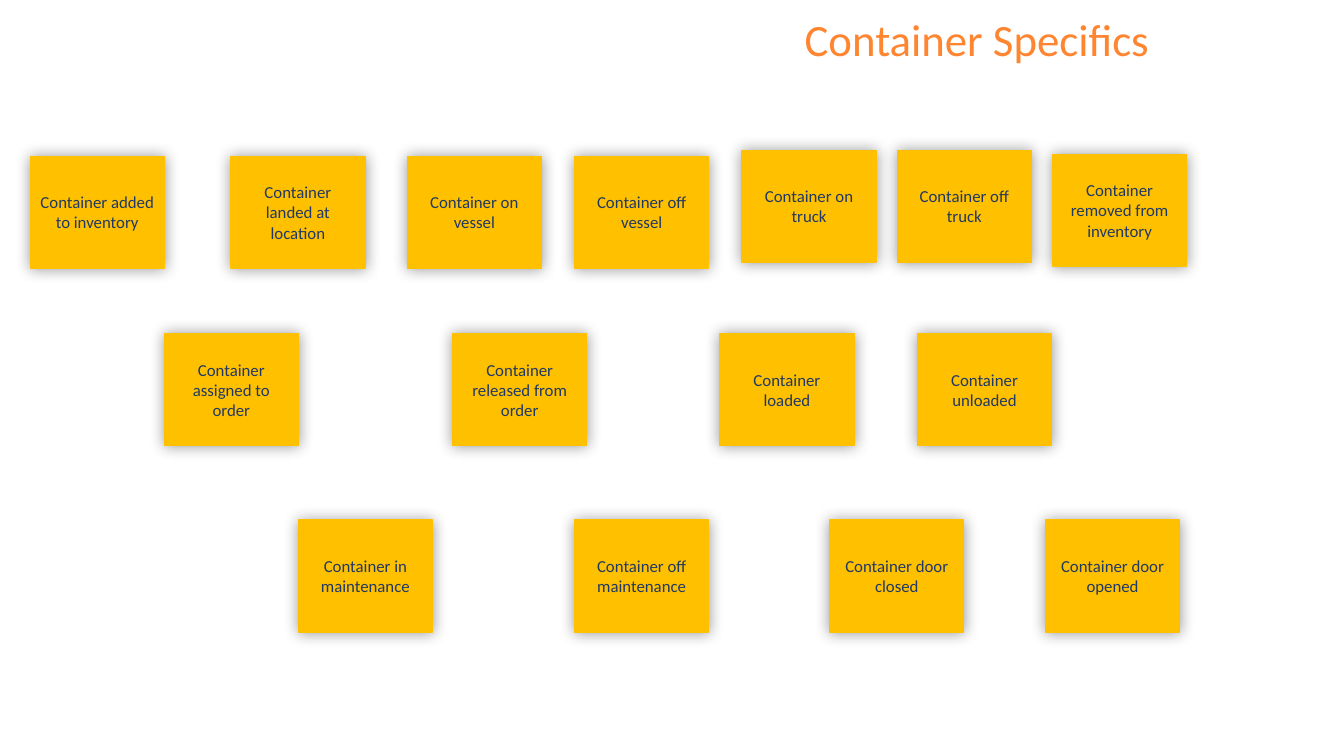
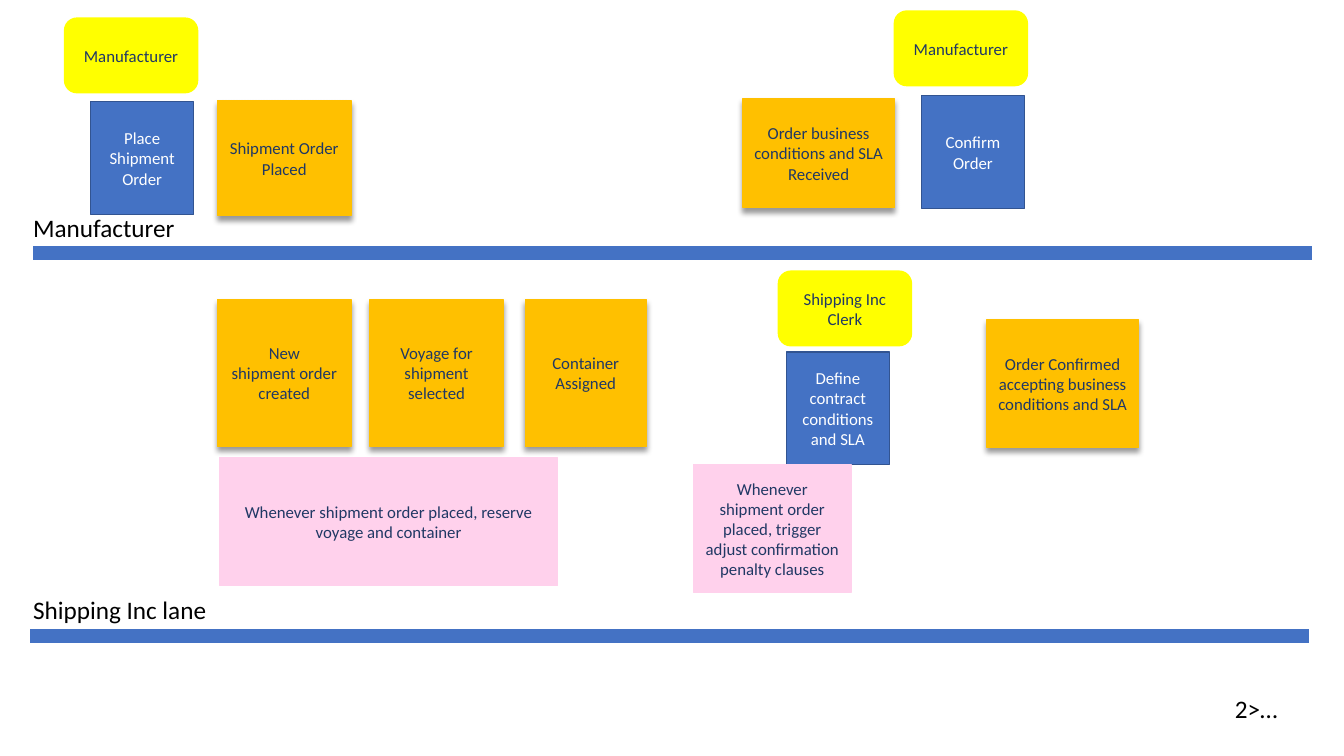
from dataclasses import dataclass
from typing import Optional

from lxml import etree
from pptx import Presentation
from pptx.dml.color import RGBColor
from pptx.enum.shapes import MSO_CONNECTOR, MSO_SHAPE
from pptx.enum.text import MSO_ANCHOR, MSO_AUTO_SIZE, PP_ALIGN
from pptx.oxml.ns import qn
from pptx.util import Inches, Pt

RECT, ROUND = MSO_SHAPE.RECTANGLE, MSO_SHAPE.ROUNDED_RECTANGLE
LEFT, CENTER = PP_ALIGN.LEFT, PP_ALIGN.CENTER
TOP, MIDDLE = MSO_ANCHOR.TOP, MSO_ANCHOR.MIDDLE
GROW = MSO_AUTO_SIZE.SHAPE_TO_FIT_TEXT
STRAIGHT = MSO_CONNECTOR.STRAIGHT
TITLE_ONLY, BLANK = 5, 6


# Theme: colours and type sizes
@dataclass(frozen=True)
class Theme:
    font: str = "Calibri"
    title: str = "FF8531"
    amber: str = "FFC000"
    yellow: str = "FFFF00"
    pink: str = "FFD1EC"
    blue: str = "4472C4"
    edge: str = "325491"
    navy: str = "203864"
    white: str = "FFFFFF"
    black: str = "000000"
    title_size: int = 32
    lane_size: int = 18
    note_size: int = 12


THEME = Theme()


@dataclass(frozen=True)
class Shadow:
    blur: float
    dist: float
    angle: int
    alpha: int = 40


@dataclass(frozen=True)
class Style:
    fill: str
    edge: str
    ink: str = THEME.navy
    form: int = RECT
    shadow: Optional[Shadow] = None


@dataclass(frozen=True)
class Note:
    style: Style
    text: str
    x: float
    y: float
    w: float
    h: float


@dataclass(frozen=True)
class Lane:
    text: str
    left: float
    y: float
    top: float


# Kinds of sticky note
GLOW = Style(THEME.amber, THEME.amber, shadow=Shadow(11, 0, 10))
EVENT = Style(THEME.amber, THEME.amber, shadow=Shadow(4, 3, 90))
ACTOR = Style(THEME.yellow, THEME.yellow, form=ROUND)
ORDER = Style(THEME.blue, THEME.edge, ink=THEME.white)
RULE = Style(THEME.pink, THEME.pink)


# Drawing helpers
def write(frame, text: str, *, size: int, color: str, align=LEFT,
          anchor=TOP, wrap: bool = True) -> None:
    """Fill a text frame, one paragraph for each line of text."""
    frame.word_wrap = wrap
    frame.vertical_anchor = anchor
    if not wrap:
        frame.auto_size = GROW
    frame.text = text
    for para in frame.paragraphs:
        para.alignment = align
        font = para.runs[0].font
        font.name, font.size = THEME.font, Pt(size)
        font.color.rgb = RGBColor.from_string(color)


def cast(shape, shadow: Shadow) -> None:
    effects = shape._element.spPr.find(qn("a:effectLst"))
    outer = etree.SubElement(
        effects, qn("a:outerShdw"), blurRad=str(Pt(shadow.blur)),
        dist=str(Pt(shadow.dist)), dir=str(shadow.angle * 60000),
        algn="ctr", rotWithShape="0")
    color = etree.SubElement(outer, qn("a:srgbClr"), val=THEME.black)
    etree.SubElement(color, qn("a:alpha"), val=str(shadow.alpha * 1000))


def draw_note(slide, note: Note) -> None:
    style = note.style
    shape = slide.shapes.add_shape(
        style.form, Inches(note.x), Inches(note.y),
        Inches(note.w), Inches(note.h))
    shape.fill.solid()
    shape.fill.fore_color.rgb = RGBColor.from_string(style.fill)
    shape.line.color.rgb = RGBColor.from_string(style.edge)
    shape.line.width = Pt(1)
    shape.shadow.inherit = False
    if style.shadow:
        cast(shape, style.shadow)
    write(shape.text_frame, note.text, size=THEME.note_size,
          color=style.ink, align=CENTER, anchor=MIDDLE)


def draw_label(slide, text: str, x: float, y: float, w: float) -> None:
    box = slide.shapes.add_textbox(
        Inches(x), Inches(y), Inches(w), Inches(0.4))
    write(box.text_frame, text, size=THEME.lane_size,
          color=THEME.black, wrap=False)


def draw_lane(slide, lane: Lane, width: float) -> None:
    bar = slide.shapes.add_connector(
        STRAIGHT, Inches(lane.left), Inches(lane.y),
        Inches(lane.left + 12.68), Inches(lane.y))
    bar.line.color.rgb = RGBColor.from_string(THEME.blue)
    bar.line.width = Pt(10)
    etree.SubElement(bar._element.spPr, qn("a:effectLst"))
    draw_label(slide, lane.text, 0.23, lane.top, width)


# Slide 1: events in the life of a container, as (text, left, top)
CARD_W, CARD_H = 1.33, 1.11
ROW_1, ROW_2, ROW_3, TRUCK = 1.55, 3.31, 5.16, 1.49
CARDS = [
    ("Container added to inventory", 0.3, ROW_1),
    ("Container landed at location", 2.29, ROW_1),
    ("Container on vessel", 4.04, ROW_1),
    ("Container off vessel", 5.7, ROW_1),
    ("Container on truck", 7.36, TRUCK),
    ("Container off truck", 8.9, TRUCK),
    ("Container removed from inventory", 10.44, 1.53),
    ("Container assigned to order", 1.63, ROW_2),
    ("Container released from order", 4.49, ROW_2),
    ("Container loaded", 7.14, ROW_2),
    ("Container unloaded", 9.1, ROW_2),
    ("Container in maintenance", 2.96, ROW_3),
    ("Container off maintenance", 5.7, ROW_3),
    ("Container door closed", 8.23, ROW_3),
    ("Container door opened", 10.37, ROW_3),
]


def build_cards(deck) -> None:
    slide = deck.slides.add_slide(deck.slide_layouts[TITLE_ONLY])
    title = slide.shapes.title
    title.left, title.top = Inches(7.88), Inches(0.07)
    title.width, title.height = Inches(3.66), Inches(0.64)
    write(title.text_frame, "Container Specifics", size=THEME.title_size,
          color=THEME.title, wrap=False)
    for text, x, y in CARDS:
        draw_note(slide, Note(GLOW, text, x, y, CARD_W, CARD_H))


# Slide 2: order flow in two lanes
def actor(text: str, x: float, y: float) -> Note:
    return Note(ACTOR, text, x, y, 1.32, 0.74)


def order(text: str, x: float, y: float) -> Note:
    return Note(ORDER, text, x, y, 1.02, 1.12)


LANES = [(Lane("Manufacturer", 0.33, 2.51, 2.06), 1.62),
         (Lane("Shipping Inc lane", 0.3, 6.31, 5.85), 1.94)]
NOTES = [
    # Manufacturer lane
    actor("Manufacturer", 0.64, 0.18),
    order("Place Shipment Order", 0.9, 1.01),
    Note(EVENT, "Shipment Order Placed", 2.16, 1, 1.32, 1.14),
    Note(EVENT, "Order business conditions and SLA\nReceived",
         7.37, 0.98, 1.5, 1.08),
    actor("Manufacturer", 8.87, 0.11),
    order("Confirm Order", 9.14, 0.95),
    # Shipping lane
    Note(EVENT, "New\nshipment order created", 2.16, 2.97, 1.32, 1.46),
    Note(EVENT, "Voyage for shipment\nselected", 3.67, 2.97, 1.32, 1.46),
    Note(EVENT, "Container Assigned", 5.21, 2.97, 1.2, 1.46),
    order("Define contract conditions and SLA", 7.8, 3.49),
    actor("Shipping Inc Clerk", 7.72, 2.69),
    Note(EVENT, "Order Confirmed accepting business conditions and SLA",
         9.79, 3.17, 1.5, 1.27),
    Note(RULE, "Whenever shipment order placed, trigger adjust "
         "confirmation penalty clauses", 6.88, 4.61, 1.56, 1.27),
    Note(RULE, "Whenever shipment order placed, reserve voyage "
         "and container", 2.18, 4.54, 3.35, 1.27),
]


def build_lanes(deck) -> None:
    slide = deck.slides.add_slide(deck.slide_layouts[BLANK])
    for lane, width in LANES:
        draw_lane(slide, lane, width)
    for note in NOTES:
        draw_note(slide, note)
    draw_label(slide, "2>…", 12.15, 6.83, 0.63)


def main() -> None:
    deck = Presentation()
    deck.slide_width, deck.slide_height = Inches(13.33), Inches(7.5)
    build_cards(deck)
    build_lanes(deck)
    deck.save("out.pptx")


if __name__ == "__main__":
    main()
